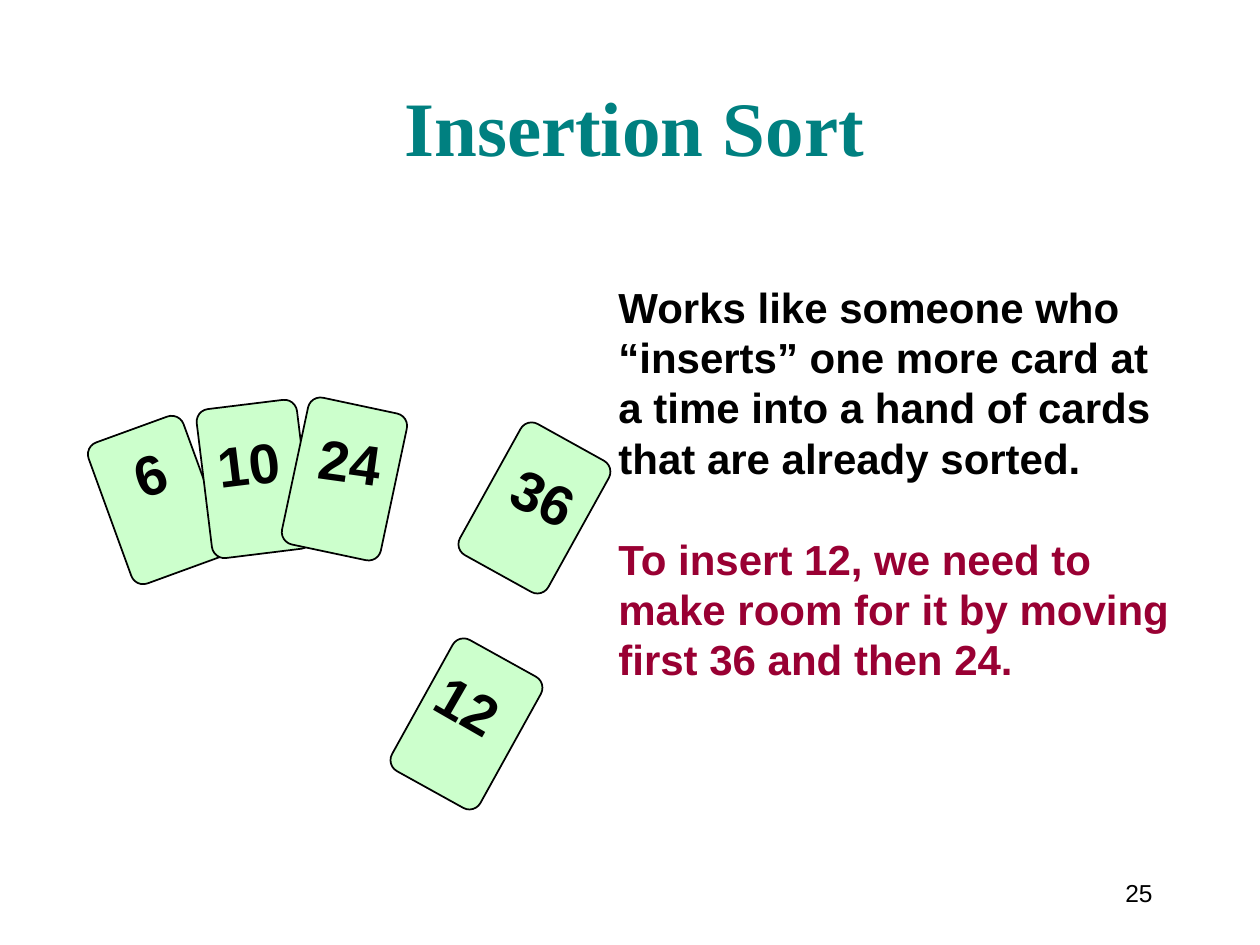
from pptx import Presentation
from pptx.dml.color import RGBColor
from pptx.enum.shapes import MSO_SHAPE
from pptx.enum.text import MSO_ANCHOR, PP_ALIGN
from pptx.util import Inches, Pt

CARD = MSO_SHAPE.ROUNDED_RECTANGLE
TOP, MIDDLE, BOTTOM = MSO_ANCHOR.TOP, MSO_ANCHOR.MIDDLE, MSO_ANCHOR.BOTTOM
LEFT, CENTER, RIGHT = PP_ALIGN.LEFT, PP_ALIGN.CENTER, PP_ALIGN.RIGHT

BLACK = RGBColor(0x00, 0x00, 0x00)
TEAL = RGBColor(0x00, 0x80, 0x80)
CRIMSON = RGBColor(0x99, 0x00, 0x33)
MINT = RGBColor(0xCC, 0xFF, 0xCC)

PIXELS_PER_INCH = 126
TITLE_ONLY = 5
CARD_SIZE = (101, 150)
LABEL_HEIGHT = 79
LINE_PITCH = Pt(28.8)


def px(value):
    return Inches(value / PIXELS_PER_INCH)


class SlideBuilder:
    font = "Arial"

    def __init__(self, presentation):
        self.slide = presentation.slides.add_slide(presentation.slide_layouts[TITLE_ONLY])

    def add_text(self, paragraph, text, size, color=BLACK, bold=True, font=None, align=LEFT):
        paragraph.alignment = align
        run = paragraph.add_run()
        run.text = text
        run.font.name = font or self.font
        run.font.size = Pt(size)
        run.font.bold = bold
        run.font.color.rgb = color

    def title(self, box, text):
        title = self.slide.shapes.title
        title.left, title.top, title.width, title.height = map(px, box)
        title.text_frame.vertical_anchor = BOTTOM
        self.add_text(title.text_frame.paragraphs[0], text, 44, TEAL,
                      font="Times New Roman", align=CENTER)

    def text_box(self, shapes, box, wrap=False, anchor=TOP, rotation=0):
        shape = shapes.add_textbox(*map(px, box))
        shape.rotation = rotation
        shape.text_frame.word_wrap = wrap
        shape.text_frame.vertical_anchor = anchor
        return shape.text_frame

    def card(self, shapes, position, rotation):
        shape = shapes.add_shape(CARD, *map(px, position + CARD_SIZE))
        shape.adjustments[0] = 0.125
        shape.rotation = rotation
        shape.shadow.inherit = False
        shape.fill.solid()
        shape.fill.fore_color.rgb = MINT
        shape.line.color.rgb = BLACK
        shape.line.width = Pt(1)

    def label(self, shapes, position, rotation, text):
        width = 57 if len(text) == 1 else 88
        frame = self.text_box(shapes, position + (width, LABEL_HEIGHT), rotation=rotation)
        self.add_text(frame.paragraphs[0], text, 32)

    def cards(self, shapes, cards):
        for position, rotation, *_ in cards:
            self.card(shapes, position, rotation)
        for _, _, position, rotation, text in cards:
            self.label(shapes, position, rotation, text)

    def body(self, box, paragraphs):
        frame = self.text_box(self.slide.shapes, box, wrap=True)
        for index, (text, color) in enumerate(paragraphs):
            paragraph = frame.add_paragraph() if index else frame.paragraphs[0]
            paragraph.line_spacing = LINE_PITCH
            paragraph.space_before = LINE_PITCH if index else Pt(0)
            self.add_text(paragraph, text, 24, color)

    def page_number(self, box, text):
        frame = self.text_box(self.slide.shapes, box, anchor=MIDDLE)
        self.add_text(frame.paragraphs[0], text, 14, bold=False, align=RIGHT)


HAND = [
    ((107, 425), 340, (122, 433), 341, "6"),
    ((204, 404), 353, (205, 423), 353, "10"),
    ((294, 404), 12, (307, 421), 8, "24"),
]
LOOSE_CARDS = [
    ((484, 433), 29, (501, 457), 25, "36"),
    ((416, 649), 29, (425, 665), 30, "12"),
]
EXPLANATION = [
    ("Works like someone who “inserts” one more card at a time "
     "into a hand of cards that are already sorted.", BLACK),
    ("To insert 12, we need to make room for it by moving first 36 and then 24.", CRIMSON),
]

presentation = Presentation()
presentation.slide_width = Inches(10)
presentation.slide_height = Inches(7.5)

builder = SlideBuilder(presentation)
builder.title((229, 20, 811, 158), "Insertion Sort")
builder.page_number((1081, 861, 84, 63), "25")
builder.cards(builder.slide.shapes.add_group_shape().shapes, HAND)
builder.body((606, 275, 587, 416), EXPLANATION)
builder.cards(builder.slide.shapes, LOOSE_CARDS)

presentation.save("out.pptx")
